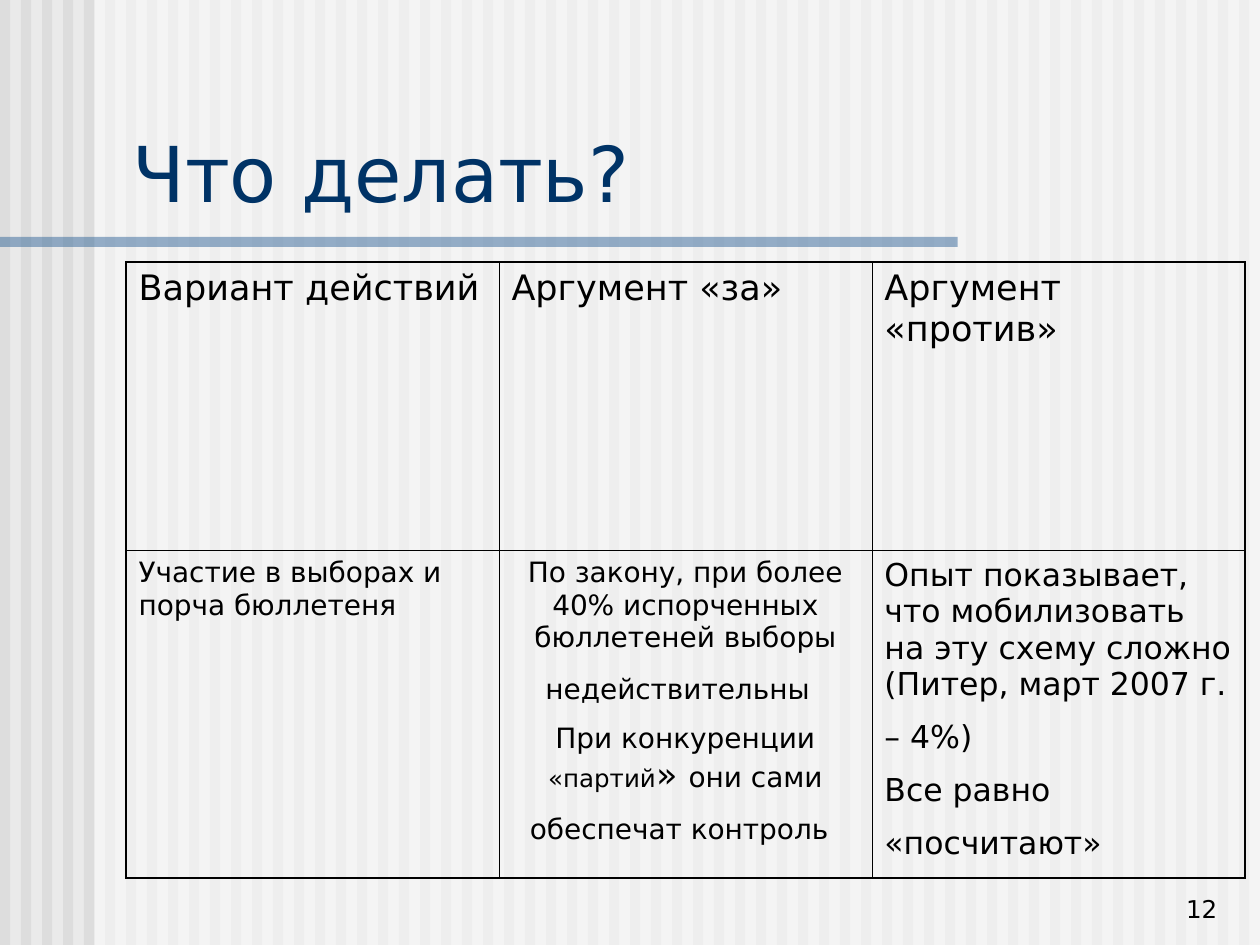
from dataclasses import dataclass

from lxml import etree
from pptx import Presentation
from pptx.dml.color import RGBColor
from pptx.enum.shapes import MSO_SHAPE
from pptx.enum.text import MSO_ANCHOR, MSO_AUTO_SIZE, PP_ALIGN
from pptx.oxml.ns import qn
from pptx.util import Inches, Pt

RECTANGLE = MSO_SHAPE.RECTANGLE
BOTTOM = MSO_ANCHOR.BOTTOM
NO_AUTOFIT = MSO_AUTO_SIZE.NONE
LEFT, CENTER, RIGHT = PP_ALIGN.LEFT, PP_ALIGN.CENTER, PP_ALIGN.RIGHT


@dataclass(frozen=True)
class Theme:
    background: str = "EAEAEA"
    stripe: str = "DDDDDD"
    veil: str = "FFFFFF"
    rule: str = "336699"
    title: str = "003366"
    text: str = "000000"
    font: str = "DejaVu Sans"
    serif: str = "Times New Roman"
    title_size: int = 44
    heading_size: int = 20
    against_size: int = 18
    body_size: int = 16
    small_size: int = 14
    tail_size: int = 28
    paragraph_gap: int = 7
    outer_line: float = 1.08
    inner_line: float = 0.45


THEME = Theme()


@dataclass(frozen=True)
class Run:
    text: str
    size: int
    font: str = THEME.font


@dataclass(frozen=True)
class Cell:
    paragraphs: list[list[Run]]
    align: PP_ALIGN = LEFT


@dataclass(frozen=True)
class Block:
    left: float
    width: float
    color: str
    top: float = 0
    height: float = 7.5
    opacity: int = 100


STRIPES = [Block(i / 6, 0.08, THEME.stripe) for i in range(60)]
VEIL = Block(0.75, 9.25, THEME.veil, opacity=50)
TITLE_RULE = Block(0, 7.6, THEME.rule, top=1.88, height=0.08, opacity=50)

TAIL = Run(" ", THEME.tail_size)
ARGUMENT_ROWS = [
    [Cell([[Run(heading, THEME.heading_size)]])
     for heading in ("Вариант действий", "Аргумент «за»", "Аргумент «против»")],
    [
        Cell([[Run("Участие в выборах и порча бюллетеня", THEME.body_size)]]),
        Cell([
            [Run("По закону, при более 40% испорченных бюллетеней выборы "
                 "недействительны", THEME.body_size), TAIL],
            [Run("При конкуренции ", THEME.body_size),
             Run("«партий", THEME.small_size),
             Run("» ", THEME.heading_size),
             Run("они сами обеспечат контроль", THEME.body_size),
             Run(" ", THEME.tail_size, THEME.serif)],
        ], CENTER),
        Cell([
            [Run("Опыт показывает, что мобилизовать на эту схему сложно "
                 "(Питер, март 2007 г. – 4%)", THEME.against_size), TAIL],
            [Run("Все равно «посчитают»", THEME.against_size), TAIL],
        ]),
    ],
]


def write_text(frame, paragraphs: list[list[Run]], *, align: PP_ALIGN = LEFT,
               color: str = THEME.text, gap: int = THEME.paragraph_gap) -> None:
    frame.word_wrap = True
    for index, runs in enumerate(paragraphs):
        paragraph = frame.add_paragraph() if index else frame.paragraphs[0]
        paragraph.alignment = align
        paragraph.space_before = Pt(gap if index else 0)
        for item in runs:
            run = paragraph.add_run()
            run.text = item.text
            run.font.size = Pt(item.size)
            run.font.name = item.font
            run.font.color.rgb = RGBColor.from_string(color)


def draw_block(slide, block: Block) -> None:
    rect = slide.shapes.add_shape(RECTANGLE, Inches(block.left), Inches(block.top),
                                  Inches(block.width), Inches(block.height))
    rect.shadow.inherit = False
    rect.line.fill.background()
    rect.fill.solid()
    rect.fill.fore_color.rgb = RGBColor.from_string(block.color)
    if block.opacity < 100:
        color = next(rect.element.spPr.iter(qn("a:srgbClr")))
        etree.SubElement(color, qn("a:alpha"), val=str(block.opacity * 1000))


def draw_borders(cell, outer_sides: dict[str, bool]) -> None:
    properties = cell._tc.get_or_add_tcPr()
    for index, (side, is_outer) in enumerate(outer_sides.items()):
        width = THEME.outer_line if is_outer else THEME.inner_line
        line = etree.Element(qn(f"a:ln{side}"), w=str(Pt(width)))
        fill = etree.SubElement(line, qn("a:solidFill"))
        etree.SubElement(fill, qn("a:srgbClr"), val=THEME.text)
        properties.insert(index, line)


def draw_table(slide, rows: list[list[Cell]], column_width: float,
               row_heights: list[float]) -> None:
    columns = len(rows[0])
    table = slide.shapes.add_table(
        len(rows), columns, Inches(1), Inches(2.08),
        Inches(column_width * columns), Inches(sum(row_heights))).table
    table.first_row = table.horz_banding = False
    for column in table.columns:
        column.width = Inches(column_width)
    for r, (row, height) in enumerate(zip(rows, row_heights)):
        table.rows[r].height = Inches(height)
        for c, content in enumerate(row):
            cell = table.cell(r, c)
            cell.fill.background()
            write_text(cell.text_frame, content.paragraphs, align=content.align)
            draw_borders(cell, {"L": c == 0, "R": c == columns - 1,
                                "T": r == 0, "B": r == len(rows) - 1})


def main() -> None:
    prs = Presentation()
    prs.slide_width, prs.slide_height = Inches(10), Inches(7.5)
    slide = prs.slides.add_slide(prs.slide_layouts[5])

    # Striped background, veil and rule under the title
    slide.background.fill.solid()
    slide.background.fill.fore_color.rgb = RGBColor.from_string(THEME.background)
    for block in [*STRIPES, VEIL, TITLE_RULE]:
        draw_block(slide, block)

    # Title, brought in front of the background
    title = slide.shapes.title
    title.element.getparent().append(title.element)
    title.left, title.top = Inches(0.95), Inches(0.94)
    title.width, title.height = Inches(8.93), Inches(0.84)
    title.text_frame.auto_size = NO_AUTOFIT
    title.text_frame.vertical_anchor = BOTTOM
    write_text(title.text_frame, [[Run("Что делать?", THEME.title_size)]],
               color=THEME.title)

    # Arguments for and against
    draw_table(slide, ARGUMENT_ROWS, 2.96, [2.29, 2.6])

    # Page number
    page_number = slide.shapes.add_textbox(Inches(7.68), Inches(6.88),
                                           Inches(2.08), Inches(0.5))
    page_number.text_frame.vertical_anchor = BOTTOM
    write_text(page_number.text_frame, [[Run("12", THEME.small_size)]], align=RIGHT)

    prs.save("out.pptx")


if __name__ == "__main__":
    main()
